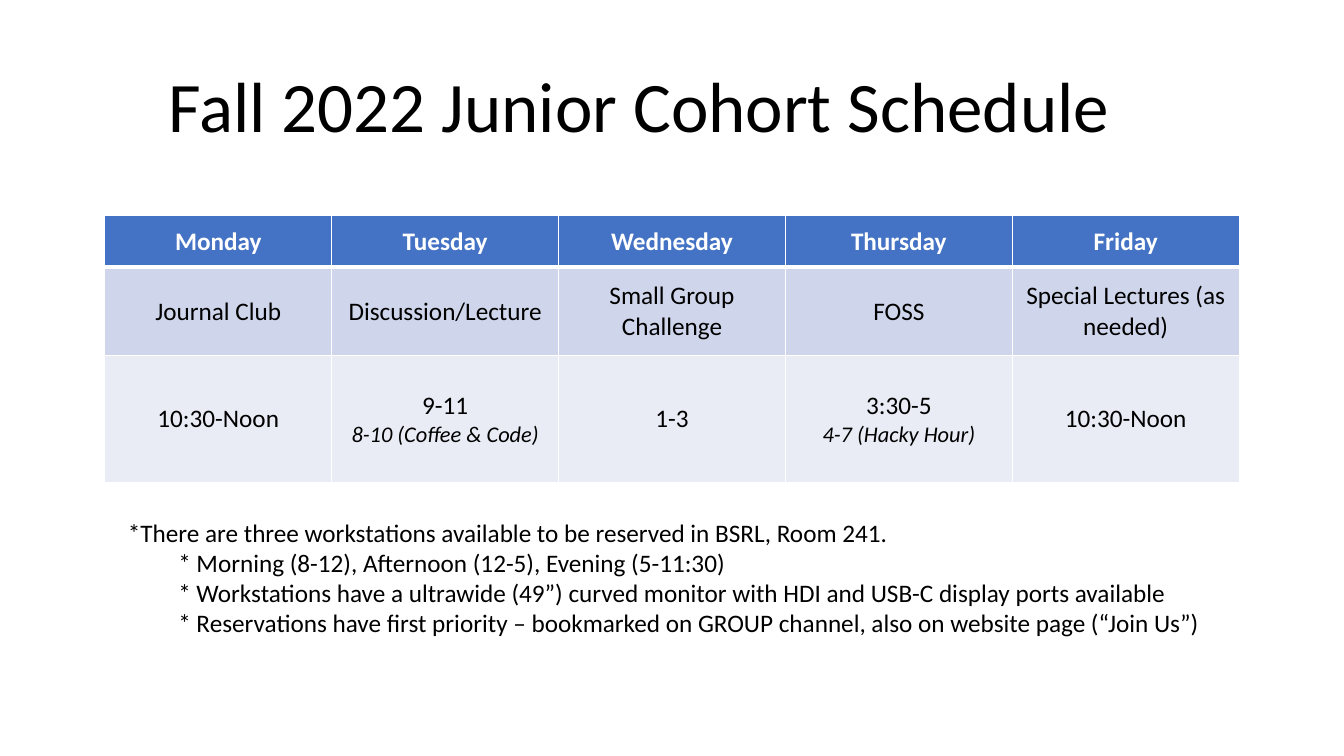
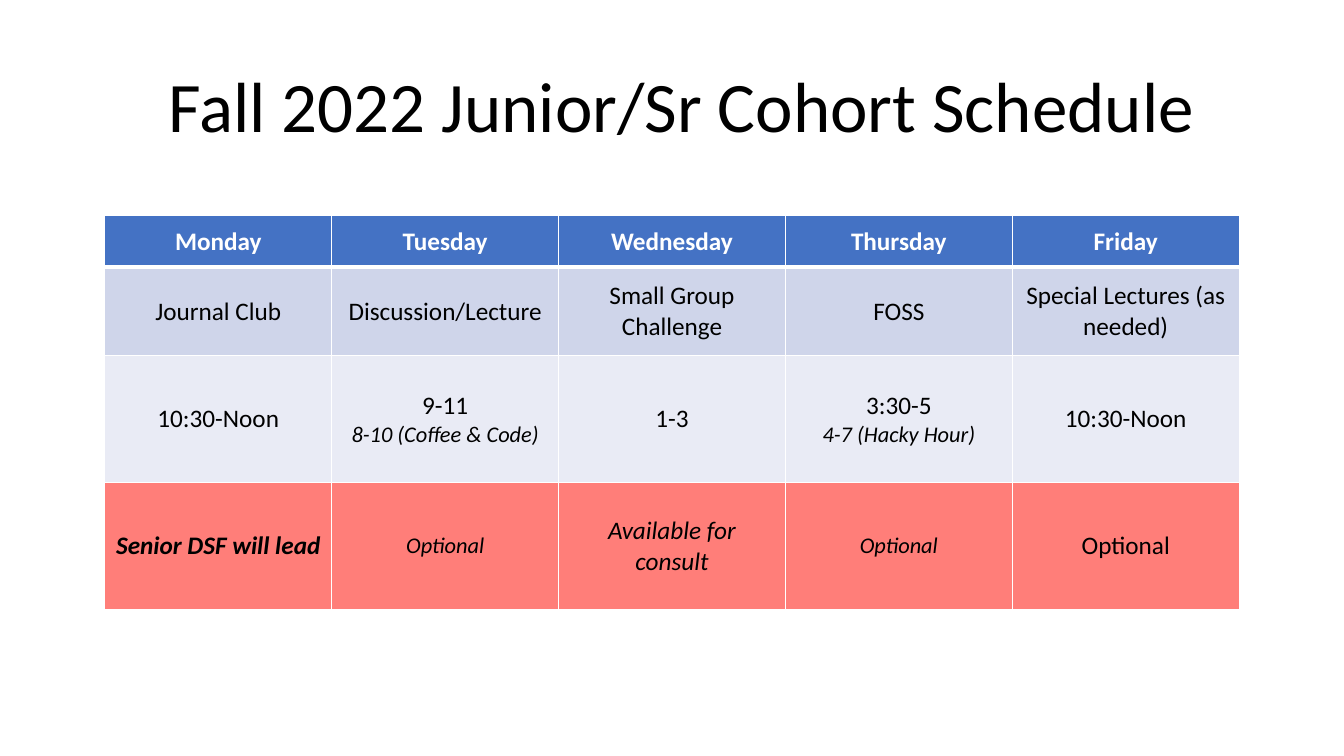
from lxml.etree import SubElement
from pptx import Presentation
from pptx.dml.color import RGBColor
from pptx.enum.text import MSO_ANCHOR as Anchor, PP_ALIGN as Align
from pptx.oxml.ns import qn
from pptx.util import Inches, Pt

FONT = "Calibri"
BLACK, WHITE = "000000", "FFFFFF"
BLUE, LILAC, PALE, CORAL = "4472C4", "CFD5EA", "E9EBF5", "FF7E79"

HEAD = {"size": 18, "bold": True, "color": WHITE}
BODY = {"size": 18}
SMALL = {"size": 16, "italic": True}
SLANT = {"size": 18, "italic": True}
STRONG = {"size": 18, "bold": True, "italic": True}

TITLE_BOX = (1.63, 0.67, 11.6, 0.84)
TABLE_BOX = (1.04, 2.14, 11.25)
NOTE_BOX = (1.17, 5.08, 11, 1.35)

# Each row: height, fill, base style, cells. A cell is a list of lines;
# a line is plain text or (text, style).
ROWS = [
    (0.51, BLUE, HEAD,
     [["Monday"], ["Tuesday"], ["Wednesday"], ["Thursday"], ["Friday"]]),
    (0.88, LILAC, BODY,
     [["Journal Club"], ["Discussion/Lecture"], ["Small Group Challenge"],
      ["FOSS"], ["Special Lectures (as needed)"]]),
    (1.26, PALE, BODY,
     [["10:30-Noon"], ["9-11", ("8-10 (Coffee & Code)", SMALL)], ["1-3"],
      ["3:30-5", ("4-7 (Hacky Hour)", SMALL)], ["10:30-Noon"]]),
]
SENIOR = (1.26, CORAL, BODY,
          [[("Senior DSF will lead", STRONG)], [("Optional", SMALL)],
           [("Available for consult", SLANT)], [("Optional", SMALL)],
           ["Optional"]])
NOTES = [
    "*There are three workstations available to be reserved in BSRL, Room 241.",
    "* Morning (8-12), Afternoon (12-5), Evening (5-11:30)",
    "* Workstations have a ultrawide (49”) curved monitor with HDI and USB-C "
    "display ports available",
    "* Reservations have first priority – bookmarked on GROUP channel, also on "
    "website page (“Join Us”)",
]


def rgb(code):
    return RGBColor.from_string(code)


def write(frame, lines, align=Align.LEFT):
    """Fill a text frame with (text, style) lines, one paragraph each."""
    for i, (text, style) in enumerate(lines):
        para = frame.paragraphs[0] if i == 0 else frame.add_paragraph()
        para.alignment = align
        run = para.add_run()
        run.text = text
        look = {"bold": False, "italic": False, "name": FONT, **style}
        run.font.color.rgb = rgb(look.pop("color", BLACK))
        look["size"] = Pt(look["size"])
        for key, value in look.items():
            setattr(run.font, key, value)


def add_text(slide, box, lines):
    frame = slide.shapes.add_textbox(*map(Inches, box)).text_frame
    frame.word_wrap = True
    write(frame, lines)
    return frame


def add_title(slide, box, text):
    frame = add_text(slide, box, [(text, {"size": 50.7})])
    frame.vertical_anchor = Anchor.MIDDLE
    for side in ("left", "right", "top", "bottom"):
        setattr(frame, f"margin_{side}", Inches(0.04))
    frame.paragraphs[0].line_spacing = 0.9


def add_edges(cell, top, bottom):
    """Draw white cell borders, with the given top and bottom widths."""
    props = cell._tc.get_or_add_tcPr()
    edges = {"lnL": 1, "lnR": 1, "lnT": top, "lnB": bottom}
    for i, (tag, width) in enumerate(edges.items()):
        line = SubElement(props, qn(f"a:{tag}"), w=str(Pt(width)))
        SubElement(SubElement(line, qn("a:solidFill")), qn("a:srgbClr"), val=WHITE)
        props.insert(i, line)


def add_table(slide, box, rows):
    left, top, width = box
    high = sum(row[0] for row in rows)
    count = len(rows[0][3])
    table = slide.shapes.add_table(
        len(rows), count, *map(Inches, (left, top, width, high))).table
    for col in table.columns:
        col.width = Inches(width / count)
    for r, (tall, fill, base, cells) in enumerate(rows):
        table.rows[r].height = Inches(tall)
        for c, lines in enumerate(cells):
            cell = table.cell(r, c)
            cell.vertical_anchor = Anchor.MIDDLE
            cell.fill.solid()
            cell.fill.fore_color.rgb = rgb(fill)
            add_edges(cell, 3 if r == 1 else 1, 3 if r == 0 else 1)
            pairs = [(x, base) if isinstance(x, str) else x for x in lines]
            write(cell.text_frame, pairs, Align.CENTER)


def add_notes(slide, box, notes):
    frame = add_text(slide, box, [(note, BODY) for note in notes])
    for para in frame.paragraphs[1:]:
        props = para._p.get_or_add_pPr()
        for key, value in {"lvl": 1, "marL": Inches(0.5), "indent": 0}.items():
            props.set(key, str(value))


def add_schedule(deck, title, rows):
    slide = deck.slides.add_slide(deck.slide_layouts[6])
    add_title(slide, TITLE_BOX, title)
    add_table(slide, TABLE_BOX, rows)
    return slide


def main():
    deck = Presentation()
    deck.slide_width, deck.slide_height = Inches(13.33), Inches(7.5)
    junior = add_schedule(deck, "Fall 2022 Junior Cohort Schedule", ROWS)
    add_notes(junior, NOTE_BOX, NOTES)
    add_schedule(deck, "Fall 2022 Junior/Sr Cohort Schedule", ROWS + [SENIOR])
    deck.save("out.pptx")


if __name__ == "__main__":
    main()
